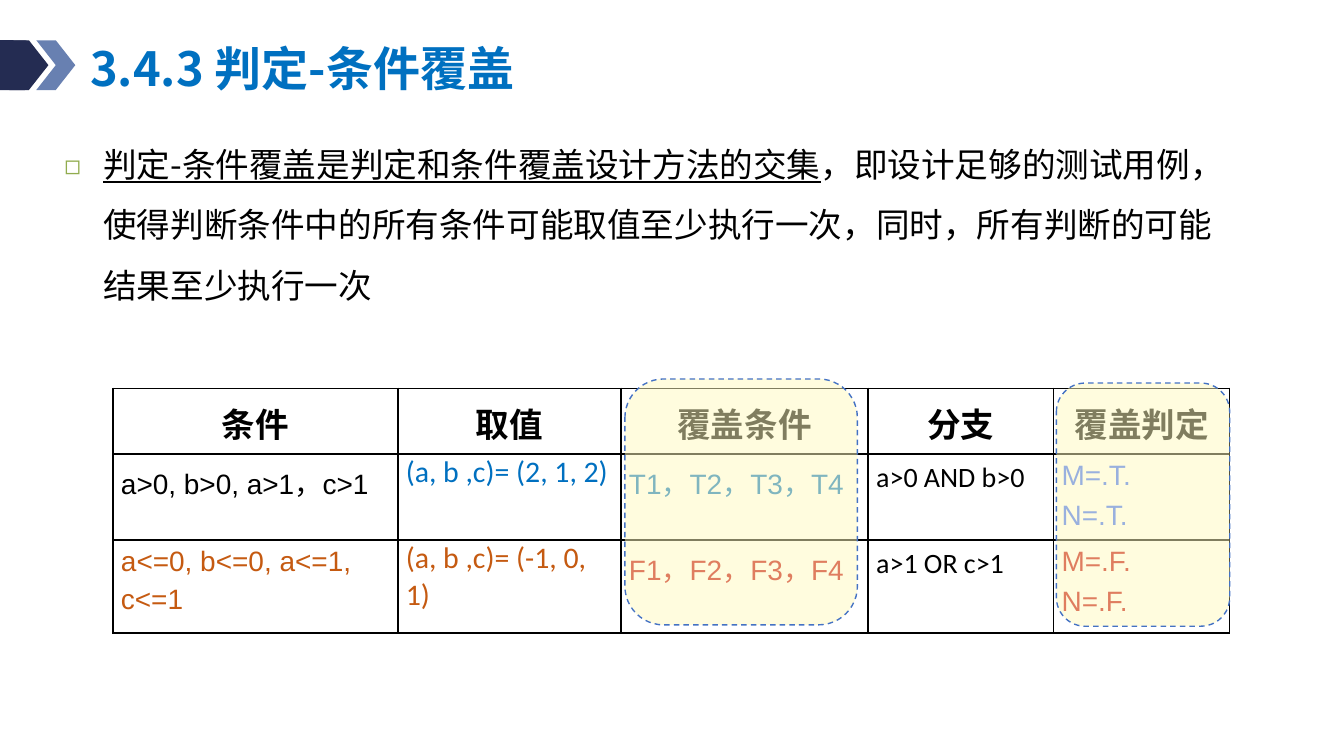
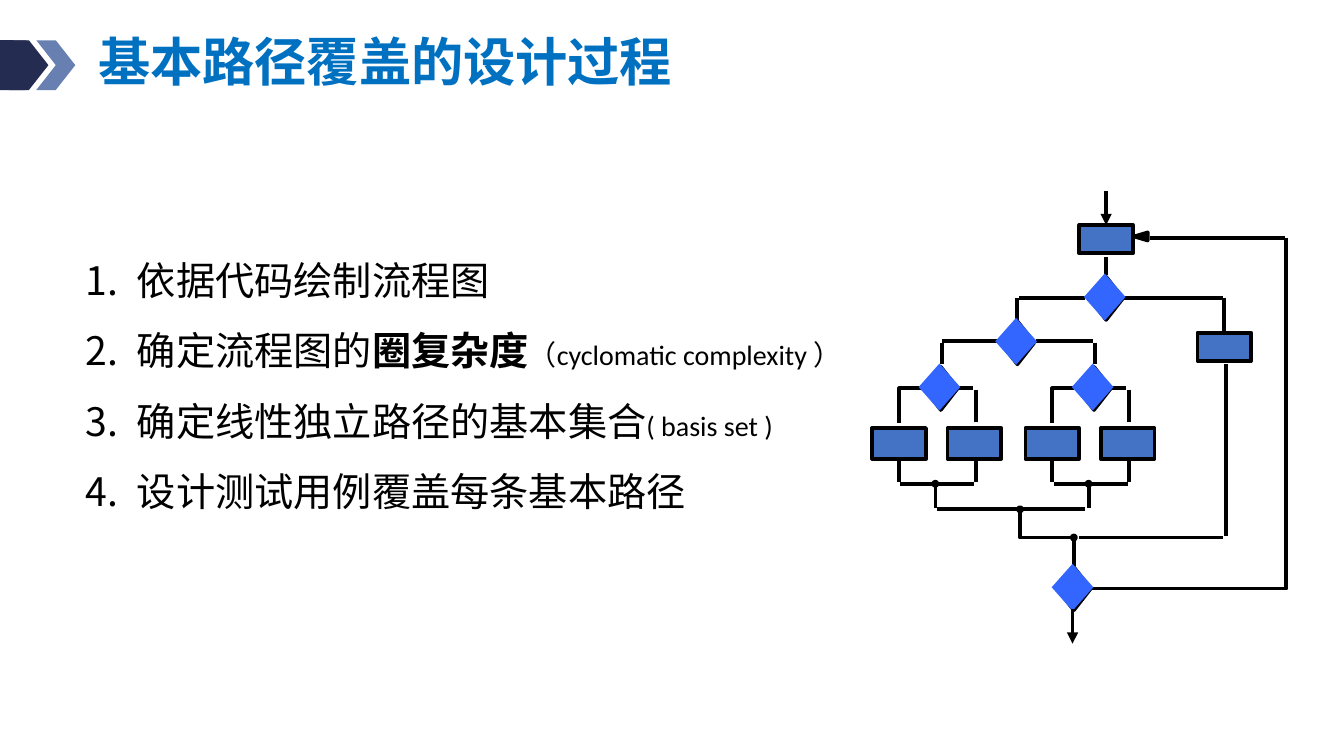
from lxml import etree
from pptx import Presentation
from pptx.dml.color import RGBColor
from pptx.enum import dml, shapes, text
from pptx.oxml.ns import qn
from pptx.util import Inches, Pt

NAVY = RGBColor(0x24, 0x2C, 0x52)
SLATE = RGBColor(0x68, 0x80, 0xB1)
AZURE = RGBColor(0x00, 0x70, 0xC0)
BLUE = RGBColor(0x44, 0x72, 0xC4)
VIVID = RGBColor(0x33, 0x66, 0xFF)
RUST = RGBColor(0xC5, 0x5A, 0x11)
RED = RGBColor(0xC0, 0x00, 0x00)
CREAM = RGBColor(0xFF, 0xFB, 0xBF)
BLACK = RGBColor(0, 0, 0)
CJK, SANS, BODY, SERIF = "Noto Sans CJK SC", "Arial", "Calibri", "Times New Roman"
KIND = shapes.MSO_SHAPE
ALIGN = text.PP_ALIGN

# Slide 1
RULE = [[("判定-条件覆盖是判定和条件覆盖设计方法的交集", {"line": True}),
         ("，即设计足够的测试用例，使得判断条件中的所有条件可能取值至少执行一次，"
          "同时，所有判断的可能结果至少执行一次", {})]]
COLS = [2.12, 1.66, 1.84, 1.38, 1.31]
ROWS = [0.49, 0.58, 0.69]
HEAD = dict(size=18, bold=True, align=ALIGN.CENTER)
CALC = dict(size=16, font=BODY, space=None, after=0)
JUST = dict(align=ALIGN.JUSTIFY)
CODE = dict(font=BODY, **JUST)
CELLS = [
    [("条件", HEAD), ("取值", HEAD), ("覆盖条件", HEAD),
     ("分支", {**HEAD, "font": SERIF}), ("覆盖判定", HEAD)],
    [("a>0, b>0, a>1，c>1", JUST),
     ("(a, b ,c)= (2, 1, 2)", {**CALC, "color": AZURE}),
     ("T1，T2，T3，T4", {"color": AZURE}),
     ("a>0 AND b>0", CODE),
     ("M=.T.\nN=.T.", {**JUST, "color": VIVID})],
    [("a<=0, b<=0, a<=1, c<=1", {"color": RUST}),
     ("(a, b ,c)= (-1, 0, 1)", {**CALC, "color": RUST}),
     ("F1，F2，F3，F4", {"color": RED}),
     ("a>1 OR c>1", CODE),
     ("M=.F.\nN=.F.", {**JUST, "color": RED})],
]
MARKS = [(4.65, 2.82, 1.73, 1.83), (7.86, 2.85, 1.29, 1.81)]

# Slide 2
SMALL = {"size": 15}
STEPS = [
    [("依据代码绘制流程图", {})],
    [("确定流程图的", {}), ("圈复杂度", {"font": CJK, "bold": True}),
     ("（cyclomatic complexity ）", SMALL)],
    [("确定线性独立路径的基本集合", {}), ("( basis set )", SMALL)],
    [("设计测试用例覆盖每条基本路径", {})],
]
TESTS = [(8.23, 2.22), (7.57, 2.55), (7, 2.89), (8.14, 2.89), (7.99, 4.38)]
DOTS = [(6.96, 3.6), (8.1, 3.6), (7.59, 3.79), (7.99, 4)]
PATHS = [
    [(8.56, 1.77), (9.56, 1.77)],
    [(8.23, 1.91), (8.23, 2.05)],
    [(8.07, 2.22), (7.58, 2.22)],
    [(7.57, 2.38), (7.57, 2.22)],
    [(8.36, 2.22), (9.1, 2.22)],
    [(7.45, 2.54), (7.01, 2.54)],
    [(7.71, 2.54), (8.13, 2.54)],
    [(6.97, 3.79), (8.07, 3.79)],
    [(7.59, 3.81), (7.59, 4), (7.99, 4)],
    [(9.12, 2.71), (9.12, 3.99)],
    [(8.03, 4), (9.1, 4)],
    [(7.99, 4.21), (7.99, 4)],
    [(8.12, 4.38), (9.57, 4.38), (9.57, 1.77)],
]
BRANCH = [
    [(7.01, 2.55), (7.01, 2.71)],
    [(6.85, 2.89), (6.69, 2.89), (6.69, 3.15)],
    [(7.13, 2.89), (7.24, 2.89)],
    [(7.26, 2.9), (7.26, 3.14)],
    [(6.69, 3.43), (6.69, 3.59)],
    [(7.26, 3.43), (7.26, 3.59)],
    [(6.7, 3.6), (7.25, 3.6)],
    [(6.96, 3.61), (6.96, 3.78)],
]
LEAVES = [6.69, 7.25]
SHIFT = 1.14  # from the left branch to the right one


def sub(node, tag, **attrs):
    return etree.SubElement(node, qn(tag), attrs)


def write(frame, paras, size=15, font=SANS, color=BLACK, bold=False, line=False,
          align=ALIGN.LEFT, space=1.2, after=0, bullet=None, hang=0):
    """Fill a frame; paras holds lists of (text, format changes) runs."""
    base = dict(size=size, font=font, color=color, bold=bold, line=line)
    for i, runs in enumerate(paras):
        para = frame.paragraphs[0] if i == 0 else frame.add_paragraph()
        para.alignment, para.line_spacing = align, space
        para.space_before, para.space_after = Pt(0), Pt(after)
        if bullet:
            bullet(para._p.get_or_add_pPr(), hang)
        for words, change in runs:
            look = {**base, **change}
            run = para.add_run()
            run.text = words
            run.font.size, run.font.bold = Pt(look["size"]), look["bold"]
            run.font.name, run.font.underline = look["font"], look["line"]
            run.font.color.rgb = look["color"]
            latin = run._r.rPr.find(qn("a:latin"))
            latin.addnext(latin.makeelement(qn("a:ea"), {"typeface": CJK}))


def indent(props, hang):
    props.set("marL", str(Inches(hang)))
    props.set("indent", str(-Inches(hang)))
    props.set("hangingPunct", "0")


def square(props, hang):
    indent(props, hang)
    sub(sub(props, "a:buClr"), "a:srgbClr", val="91AC4E")
    sub(props, "a:buSzPct", val="80000")
    sub(props, "a:buFont", typeface=CJK)
    sub(props, "a:buChar", char="◻")


def number(props, hang):
    indent(props, hang)
    sub(props, "a:buFont", typeface=CJK)
    sub(props, "a:buAutoNum", type="arabicPeriod")


def paint(shape, fill=None, line=None, width=2):
    shape.shadow.inherit = False
    if fill is None:
        shape.fill.background()
    else:
        shape.fill.solid()
        shape.fill.fore_color.rgb = fill
    if line is None:
        shape.line.fill.background()
    else:
        shape.line.color.rgb, shape.line.width = line, Pt(width)
    return shape


def draw(slide, kind, box, **look):
    return paint(slide.shapes.add_shape(kind, *map(Inches, box)), **look)


def centre(slide, kind, mid, size, **look):
    (x, y), (w, h) = mid, size
    return draw(slide, kind, (x - w / 2, y - h / 2, w, h), **look)


def link(slide, start, end, arrow=False):
    wire = slide.shapes.add_connector(
        shapes.MSO_CONNECTOR.STRAIGHT, *map(Inches, (*start, *end)))
    wire.line.color.rgb, wire.line.width = BLACK, Pt(2)
    sub(wire._element.spPr, "a:effectLst")
    if arrow:
        sub(wire.line._get_or_add_ln(), "a:tailEnd", type="triangle")
    return wire


def trace(slide, points, close=False, fill=None):
    if len(points) == 2:
        return link(slide, *points)
    spots = [(Inches(x), Inches(y)) for x, y in points]
    pen = slide.shapes.build_freeform(*spots[0])
    pen.add_line_segments(spots[1:], close=close)
    return paint(pen.convert_to_shape(), fill=fill, line=BLACK)


def begin(deck, words, box, size, pad):
    """Add a slide with its arrow band and title."""
    slide = deck.slides.add_slide(deck.slide_layouts[5])
    band = draw(slide, KIND.ROUNDED_RECTANGLE, (-0.13, 0.3, 0.35, 0.37), fill=NAVY)
    band.adjustments[0] = 0.1
    for left, fill in [(0.27, SLATE), (0.07, NAVY)]:
        draw(slide, KIND.CHEVRON, (left, 0.3, 0.29, 0.37), fill=fill)
    title = slide.shapes.title
    title.left, title.top, title.width, title.height = map(Inches, box)
    frame = title.text_frame
    frame.auto_size = text.MSO_AUTO_SIZE.NONE
    frame.vertical_anchor = text.MSO_ANCHOR.MIDDLE
    frame.margin_left, frame.margin_right = Inches(pad), 0
    frame.margin_top = frame.margin_bottom = 0
    write(frame, [[(words, {})]], size=size, font=CJK, color=AZURE, bold=True, space=0.9)
    return slide


def note(slide, box, paras, **look):
    frame = slide.shapes.add_textbox(*map(Inches, box)).text_frame
    frame.word_wrap = True
    frame.auto_size = text.MSO_AUTO_SIZE.SHAPE_TO_FIT_TEXT
    write(frame, paras, space=1.5, **look)


def edge(cell):
    props = cell._tc.get_or_add_tcPr()
    for side in "LRTB":
        rim = sub(props, "a:ln" + side, w=str(Pt(1)))
        sub(sub(rim, "a:solidFill"), "a:srgbClr", val=str(BLACK))


def grid(slide):
    table = slide.shapes.add_table(
        len(ROWS), len(COLS), Inches(0.84), Inches(2.89),
        Inches(sum(COLS)), Inches(sum(ROWS))).table
    table.first_row = table.horz_banding = False
    for col, width in zip(table.columns, COLS):
        col.width = Inches(width)
    for r, row in enumerate(CELLS):
        table.rows[r].height = Inches(ROWS[r])
        for c, (words, look) in enumerate(row):
            cell = table.cell(r, c)
            edge(cell)
            cell.fill.background()
            cell.margin_left = cell.margin_right = Inches(0.06)
            cell.margin_top = cell.margin_bottom = 0
            paras = [[(part, {})] for part in words.split("\n")]
            write(cell.text_frame, paras, **{"after": 1.2, **look})


def cover(deck):
    slide = begin(deck, "3.4.3 判定-条件覆盖", (0.6, 0.31, 5.88, 0.44), 25.2, 0.07)
    grid(slide)
    note(slide, (0.38, 0.87, 8.88, 1.46), RULE, size=18, font=CJK,
         bullet=square, hang=0.29)
    for box in MARKS:
        mark = draw(slide, KIND.ROUNDED_RECTANGLE, box, fill=CREAM, line=BLUE, width=0.75)
        mark.line.dash_style = dml.MSO_LINE.DASH
        tint = mark._element.spPr.find(qn("a:solidFill"))[0]
        sub(tint, "a:alpha", val="50000")


def flow(slide):
    box = dict(fill=BLUE, line=BLACK)
    entry = centre(slide, KIND.RECTANGLE, (8.23, 1.78), (0.4, 0.21), **box)
    side = centre(slide, KIND.RECTANGLE, (9.11, 2.58), (0.4, 0.21), **box)
    for dx in (0, SHIFT):
        for x in LEAVES:
            centre(slide, KIND.RECTANGLE, (x + dx, 3.3), (0.4, 0.23), **box)
        for points in BRANCH:
            trace(slide, [(x + dx, y) for x, y in points])
    for points in PATHS:
        trace(slide, points)
    trace(slide, [(8.44, 1.76), (8.54, 1.73), (8.54, 1.79)], close=True, fill=BLACK)
    for dot in DOTS:
        centre(slide, KIND.OVAL, dot, (0.03, 0.03), fill=BLACK, line=BLACK)
    for x, y in TESTS:
        centre(slide, KIND.DIAMOND, (x, y), (0.25, 0.32), line=BLACK)
        centre(slide, KIND.DIAMOND, (x - 0.01, y - 0.01), (0.31, 0.35), fill=VIVID)
    link(slide, (7.98, 4.53), (7.98, 4.79), arrow=True)
    link(slide, (8.23, 1.42), (8.23, 1.68), arrow=True).end_connect(entry, 0)
    link(slide, (9.11, 2.22), (9.11, 2.48)).end_connect(side, 0)


def process(deck):
    slide = begin(deck, "基本路径覆盖的设计过程", (0.63, 0.12, 5.55, 0.72), 28, 0.1)
    flow(slide)
    note(slide, (0.54, 1.68, 6.04, 2.22), STEPS, size=21, font=BODY,
         bullet=number, hang=0.38)


def main():
    deck = Presentation()
    deck.slide_width = Inches(10)
    deck.slide_height = deck.slide_width * 9 // 16
    cover(deck)
    process(deck)
    deck.save("out.pptx")


if __name__ == "__main__":
    main()
